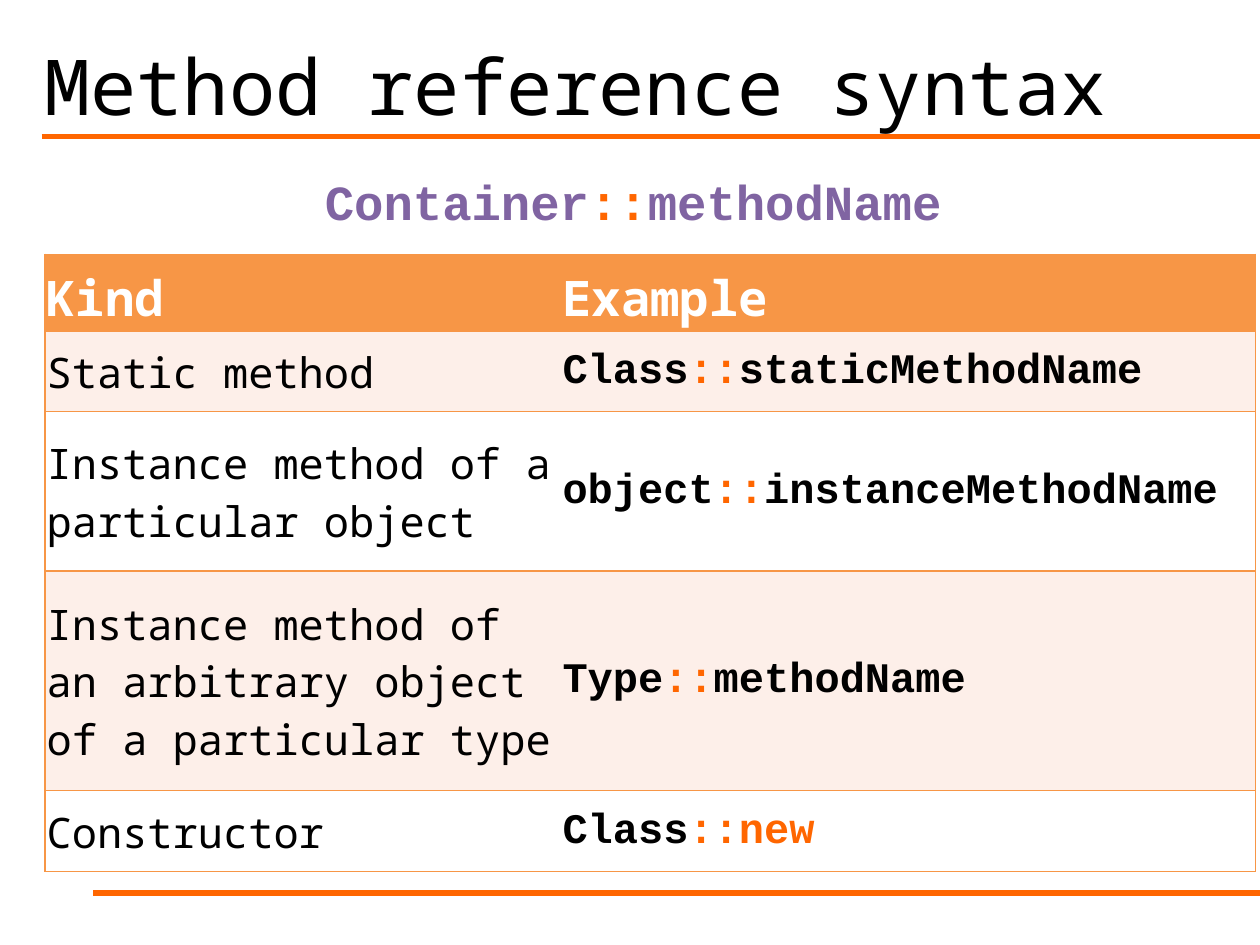
from lxml.etree import SubElement
from pptx import Presentation
from pptx.dml.color import RGBColor
from pptx.enum.shapes import MSO_CONNECTOR
from pptx.enum.text import MSO_ANCHOR, PP_ALIGN
from pptx.oxml.ns import qn
from pptx.util import Cm, Pt

BLACK = RGBColor(0x00, 0x00, 0x00)
WHITE = RGBColor(0xFF, 0xFF, 0xFF)
ORANGE = RGBColor(0xFF, 0x66, 0x00)
HEADER = RGBColor(0xF7, 0x96, 0x46)
BAND = RGBColor(0xFD, 0xEF, 0xE9)
PURPLE = RGBColor(0x80, 0x64, 0xA2)
MONO = "Noto Sans Mono"
CODE = "Courier New"

KINDS = [
    ("Static method", [("Class", BLACK), ("::", ORANGE), ("staticMethodName", BLACK)]),
    ("Instance method of a particular object",
     [("object", BLACK), ("::", ORANGE), ("instanceMethodName", BLACK)]),
    ("Instance method of an arbitrary object of a particular type",
     [("Type", BLACK), ("::", ORANGE), ("methodName", BLACK)]),
    ("Constructor", [("Class", BLACK), ("::new", ORANGE)]),
]


def write_text(frame, spans, size, font=MONO, bold=False, align=PP_ALIGN.LEFT):
    """Fill a text frame with one paragraph of (text, colour) spans."""
    para = frame.paragraphs[0]
    para.alignment = align
    para.line_spacing = 1.0
    for text, colour in spans:
        span = para.add_run()
        span.text = text
        span.font.name = font
        span.font.size = Pt(size)
        span.font.bold = bold
        span.font.color.rgb = colour


def add_title(page, left, top, width, height):
    """Place and format the title placeholder."""
    title = page.shapes.title
    title.left, title.top, title.width, title.height = left, top, width, height
    title.text_frame.vertical_anchor = MSO_ANCHOR.MIDDLE
    write_text(title.text_frame, [("Method reference syntax", BLACK)], 44)


def add_rule(page, left, right, top):
    """Draw a thick orange horizontal rule."""
    rule = page.shapes.add_connector(MSO_CONNECTOR.STRAIGHT, left, top, right, top)
    rule.line.color.rgb = ORANGE
    rule.line.width = Pt(3)
    SubElement(rule._element.spPr, qn("a:effectLst"))


def add_pattern(page, left, top, width, height):
    """Show the general form of a method reference."""
    box = page.shapes.add_textbox(left, top, width, height)
    box.text_frame.word_wrap = False
    spans = [("Container", PURPLE), ("::", ORANGE), ("methodName", PURPLE)]
    write_text(box.text_frame, spans, 28, CODE, True)


def set_borders(cell, visible):
    """Draw the named cell sides and clear the others."""
    properties = cell._tc.get_or_add_tcPr()
    for side in "LRTB":
        line = SubElement(properties, qn(f"a:ln{side}"), w=str(Pt(1)))
        if side in visible:
            fill = SubElement(line, qn("a:solidFill"))
            SubElement(fill, qn("a:srgbClr"), val=str(HEADER))
        else:
            SubElement(line, qn("a:noFill"))


def format_cell(cell, fill, anchor, borders):
    """Set borders, fill, margins and anchor of a cell."""
    set_borders(cell, borders)
    cell.fill.solid()
    cell.fill.fore_color.rgb = fill
    cell.margin_left = cell.margin_right = cell.margin_top = Cm(0.03)
    cell.margin_bottom = 0
    cell.vertical_anchor = anchor


def add_kinds_table(page, left, top, width, height):
    """Add the table of method reference kinds with examples."""
    table = page.shapes.add_table(len(KINDS) + 1, 2, left, top, width, height).table
    table.columns[0].width = Cm(10.4)
    table.columns[1].width = width - Cm(10.4)
    for row, row_height in zip(table.rows, (1.54, 1.63, 3.21, 4.43, 1.63)):
        row.height = Cm(row_height)
    for column, (label, borders) in enumerate([("Kind", "LTB"), ("Example", "RTB")]):
        cell = table.cell(0, column)
        format_cell(cell, HEADER, MSO_ANCHOR.BOTTOM, borders)
        write_text(cell.text_frame, [(label, WHITE)], 28, bold=True)
    for number, (kind, example) in enumerate(KINDS, 1):
        fill = BAND if number % 2 else WHITE
        kind_cell, example_cell = table.cell(number, 0), table.cell(number, 1)
        format_cell(kind_cell, fill, MSO_ANCHOR.MIDDLE, "LTB")
        format_cell(example_cell, fill, MSO_ANCHOR.MIDDLE, "RTB")
        write_text(kind_cell.text_frame, [(kind, BLACK)], 24)
        write_text(example_cell.text_frame, example, 24, CODE, True)


def main():
    """Build and save the slide."""
    deck = Presentation()
    deck.slide_width, deck.slide_height = Cm(25.4), Cm(19.05)
    page = deck.slides.add_slide(deck.slide_layouts[5])
    add_rule(page, Cm(0.84), deck.slide_width, Cm(2.75))
    add_rule(page, Cm(1.88), deck.slide_width, Cm(18))
    add_title(page, Cm(0.64), Cm(-0.33), Cm(23.9), Cm(4.06))
    add_kinds_table(page, Cm(0.91), Cm(5.13), Cm(24.4), Cm(12.44))
    add_pattern(page, Cm(6.3), Cm(3.33), Cm(13.08), Cm(1.47))
    deck.save("out.pptx")


if __name__ == "__main__":
    main()
